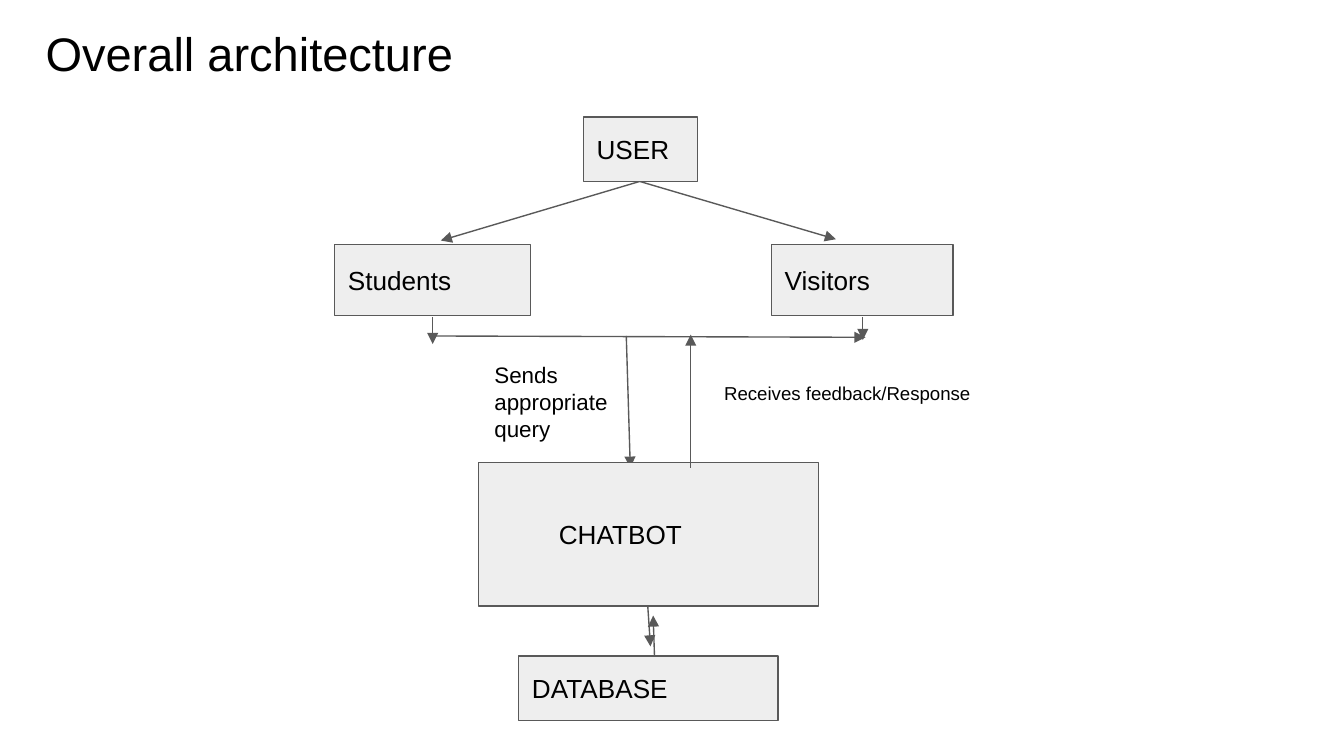
"""Build the overall architecture slide of a chatbot."""
from lxml import etree
from pptx import Presentation
from pptx.dml.color import RGBColor
from pptx.enum.shapes import MSO_CONNECTOR, MSO_SHAPE
from pptx.enum.text import MSO_ANCHOR, PP_ALIGN
from pptx.oxml.ns import qn
from pptx.util import Inches, Pt

RECT = MSO_SHAPE.RECTANGLE
LINE = MSO_CONNECTOR.STRAIGHT
LEFT = PP_ALIGN.LEFT
TOP, MIDDLE = MSO_ANCHOR.TOP, MSO_ANCHOR.MIDDLE
BLACK, GREY, PALE = "000000", "595959", "EEEEEE"


def paint(color, code):
    color.rgb = RGBColor.from_string(code)


def write(shape, text, size, anchor):
    frame = shape.text_frame
    frame.word_wrap = True
    frame.vertical_anchor = anchor
    frame.margin_left = frame.margin_right = Inches(0.1)
    frame.margin_top = frame.margin_bottom = Inches(0.1)
    para = frame.paragraphs[0]
    para.alignment = LEFT
    run = para.add_run()
    run.text = text
    run.font.name = "Arial"
    run.font.size = Pt(size)
    paint(run.font.color, BLACK)
    return para


deck = Presentation()
deck.slide_width = Inches(10)
deck.slide_height = Inches(10 * 9 / 16)
slide = deck.slides.add_slide(deck.slide_layouts[6])
shapes = slide.shapes

labels = [
    ("Overall architecture", 25.2, 0.24, 0.08, 9.32, 0.63),
    ("Sends appropriate query", 12, 3.58, 2.59, 1.19, 0.81),
    ("Receives feedback/Response", 10, 5.29, 2.76, 2.03, 0.54),
]
boxes = [
    ("USER", 0, 4.34, 0.87, 0.85, 0.48),
    ("Students", 0, 2.49, 1.82, 1.46, 0.53),
    ("Visitors", 0, 5.74, 1.82, 1.35, 0.53),
    ("CHATBOT", 0.5, 3.56, 3.44, 2.53, 1.07),
    ("DATABASE", 0, 3.86, 4.88, 1.93, 0.48),
]
under = [
    (4.76, 1.35, 3.28, 1.79),
    (4.76, 1.35, 6.22, 1.78),
    (3.22, 2.36, 3.22, 2.56),
    (6.42, 2.36, 6.42, 2.53),
    (3.21, 2.5, 6.44, 2.51),
    (4.66, 2.5, 4.69, 3.48),
]
over = [
    (5.14, 3.48, 5.14, 2.49),
    (4.82, 4.51, 4.84, 4.81),
    (4.87, 4.88, 4.86, 4.58),
]

for text, size, *place in labels:
    label = shapes.add_textbox(*map(Inches, place))
    write(label, text, size, TOP)

for part in under + boxes + over:
    if part in boxes:
        text, indent, *place = part
        item = shapes.add_shape(RECT, *map(Inches, place))
        item.shadow.inherit = False
        item.fill.solid()
        paint(item.fill.fore_color, PALE)
        para = write(item, text, 14, MIDDLE)
        if indent:
            props = para._p.get_or_add_pPr()
            props.set("marL", "0")
            props.set("indent", str(Inches(indent)))
    else:
        item = shapes.add_connector(LINE, *map(Inches, part))
        props = item._element.spPr
        tail = etree.SubElement(item.line._get_or_add_ln(), qn("a:tailEnd"))
        tail.set("type", "triangle")
        etree.SubElement(props, qn("a:effectLst"))
    paint(item.line.color, GREY)
    item.line.width = Pt(0.75)

deck.save("out.pptx")
